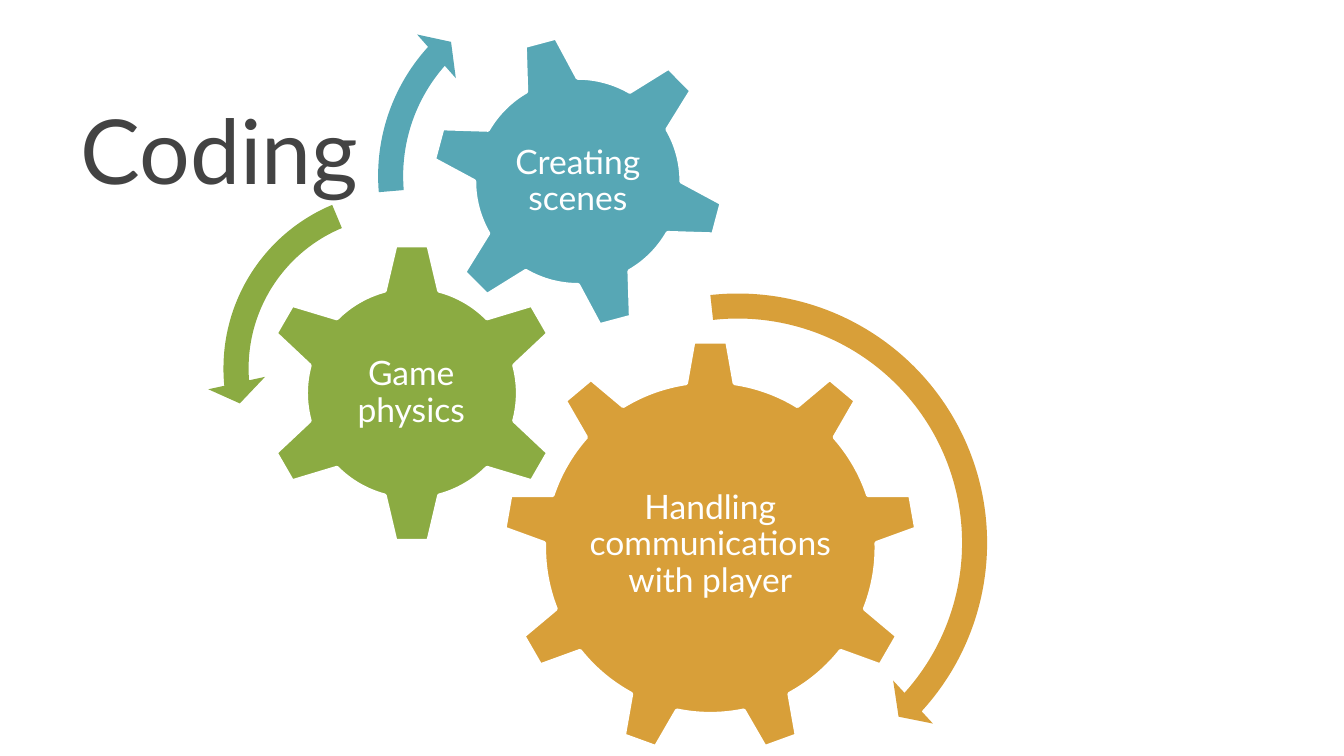
"""Build the Coding slide: three labelled gears with arrows showing how they turn."""
import pptx
import pptx.dml.color
import pptx.enum.shapes
import pptx.enum.text
import pptx.util
from pptx.util import Inches

RGBColor = pptx.dml.color.RGBColor
SHAPE = pptx.enum.shapes.MSO_SHAPE
ALIGN = pptx.enum.text.PP_ALIGN
ANCHOR = pptx.enum.text.MSO_ANCHOR

WHITE = RGBColor(0xFF, 0xFF, 0xFF)
CHARCOAL = RGBColor(0x43, 0x43, 0x43)
GOLD = RGBColor(0xD8, 0x9F, 0x39)
GREEN = RGBColor(0x8B, 0xAB, 0x42)
TEAL = RGBColor(0x57, 0xA7, 0xB5)

TITLE = {
    "text": "Coding", "area": (0.5, 0.61, 6.03, 1), "margin": 0.1,
    "anchor": ANCHOR.BOTTOM, "font": {"size": pptx.util.Pt(48), "name": "Lato"},
    "color": CHARCOAL, "paragraph": {"alignment": ALIGN.LEFT},
}
LABEL = {
    "margin": 0.02, "anchor": ANCHOR.MIDDLE,
    "font": {"size": pptx.util.Pt(18), "name": "Lato"}, "color": WHITE,
    "paragraph": {"alignment": ALIGN.CENTER, "line_spacing": 0.9},
}
GEARS = [
    {"text": "Handling communications with player", "area": (4.36, 3.26, 1.85, 1.59),
     "kind": SHAPE.GEAR_9, "place": (3.74, 2.53, 3.09), "fill": GOLD, "rotation": 0},
    {"text": "Game physics", "area": (2.5, 2.37, 1.12, 1.11),
     "kind": SHAPE.GEAR_6, "place": (1.94, 1.8, 2.25), "fill": GREEN, "rotation": 0},
    {"text": "Creating scenes", "area": (3.68, 0.73, 1.24, 1.24),
     "kind": SHAPE.GEAR_6, "place": (3.2, 0.25, 2.2), "fill": TEAL, "rotation": 345},
]
ARROWS = [
    {"kind": SHAPE.CIRCULAR_ARROW, "place": (3.51, 2.06, 3.96), "fill": GOLD,
     "band": 4.7, "degrees": (4.98, 42.25, 263.69), "head": 5.5},
    {"kind": SHAPE.LEFT_CIRCULAR_ARROW, "place": (1.54, 1.3, 2.88), "fill": GREEN,
     "band": 6.5, "degrees": (7.17, 174.82, 247.3), "head": 7.5},
    {"kind": SHAPE.CIRCULAR_ARROW, "place": (2.69, -0.24, 3.1), "fill": TEAL,
     "band": 6, "degrees": (6.57, 221.9, 175.14), "head": 7},
]
UNITS_PER_DEGREE = 0.6


def add_text(page, text, area, margin, anchor, font, color, paragraph):
    """Add a wrapped text box holding one paragraph."""
    box = page.shapes.add_textbox(*map(Inches, area))
    frame = box.text_frame
    frame.word_wrap = True
    frame.vertical_anchor = anchor
    for side in ("left", "top", "right", "bottom"):
        setattr(frame, f"margin_{side}", Inches(margin))
    para = frame.paragraphs[0]
    span = para.add_run()
    span.text = text
    for target, values in ((para, paragraph), (span.font, font)):
        for name, value in values.items():
            setattr(target, name, value)
    span.font.color.rgb = color


def add_square_shape(page, kind, place, fill):
    """Add a filled preset shape of equal width and height."""
    left, top, size = map(Inches, place)
    shape = page.shapes.add_shape(kind, left, top, size, size)
    shape.shadow.inherit = False
    shape.fill.solid()
    shape.fill.fore_color.rgb = fill
    shape.line.fill.background()
    return shape


def main():
    """Lay out the title, gears and arrows, then save the deck."""
    deck = pptx.Presentation()
    deck.slide_width, deck.slide_height = Inches(10), Inches(10 * 9 / 16)
    page = deck.slides.add_slide(deck.slide_layouts[6])
    add_text(page, **TITLE)
    for gear in GEARS:
        shape = add_square_shape(page, gear["kind"], gear["place"], gear["fill"])
        shape.rotation = gear["rotation"]
        shape.line.color.rgb = WHITE
        shape.line.width = pptx.util.Pt(2)
        add_text(page, gear["text"], gear["area"], **LABEL)
    for arrow in ARROWS:
        shape = add_square_shape(page, arrow["kind"], arrow["place"], arrow["fill"])
        angles = [degree * UNITS_PER_DEGREE for degree in arrow["degrees"]]
        bends = [arrow["band"] / 100, *angles, arrow["head"] / 100]
        for index, bend in enumerate(bends):
            shape.adjustments[index] = bend
    deck.save("out.pptx")


if __name__ == "__main__":
    main()
